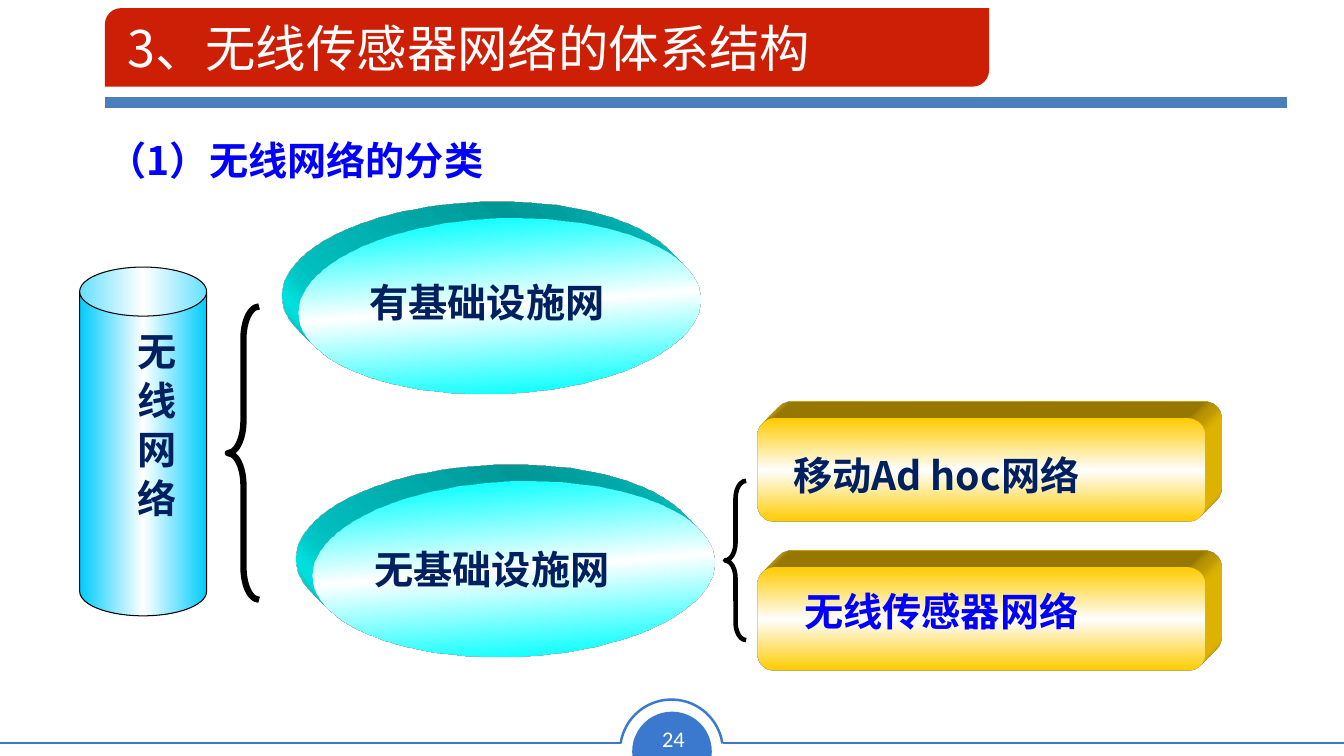
import pptx
import pptx.util
import pptx.dml.color
import pptx.enum.shapes
import pptx.enum.text
import pptx.oxml
import pptx.oxml.ns

Inches, Pt = pptx.util.Inches, pptx.util.Pt
RGB = pptx.dml.color.RGBColor
KIND = pptx.enum.shapes.MSO_SHAPE
ALIGN = pptx.enum.text.PP_ALIGN
ANCHOR = pptx.enum.text.MSO_ANCHOR
qn = pptx.oxml.ns.qn
NS = 'xmlns:a="http://schemas.openxmlformats.org/drawingml/2006/main"'

WHITE, BLACK = RGB(255, 255, 255), RGB(0, 0, 0)
RED, BAR, TRIM = RGB(0xCD, 0x1F, 0x06), RGB(0x4B, 0x7E, 0xBC), RGB(0x3B, 0x79, 0xCE)
NAVY, BLUE = RGB(0, 0x20, 0x60), RGB(0, 0, 255)
SKY, AQUA, GOLD = RGB(0, 0xCC, 255), RGB(0, 255, 255), RGB(255, 0xCC, 0)
SANS = "Noto Sans CJK SC"

# Content
TITLE = "3、无线传感器网络的体系结构"
HEAD = "（1）无线网络的分类"
ROOT = "无 线 网 络"
PAGE = "24"
# ellipse left and top, label box, label
OVALS = [
    (2.96, 2.17, (3.33, 2.71, 3, 0.57), "有基础设施网"),
    (3.1, 4.78, (3.3, 5.36, 3.16, 0.57), "无基础设施网"),
]
# block top, label box, label, colour
BLOCKS = [
    (4.15, (7.77, 4.43, 5.14, 0.57), "移动Ad hoc网络", NAVY),
    (5.63, (7.88, 5.78, 5.14, 0.57), "无线传感器网络", BLUE),
]
# brace box, curve, line width
BRACES = [
    ((2.26, 3.04, 0.31, 2.91), 1.028, 4.5),
    ((7.19, 4.77, 0.21, 1.58), 0.832, 3.25),
]
# rule start, end, height, colour, width
RULES = [
    (7.17, 13.33, 7.37, TRIM, 1.77),
    (0, 6.16, 7.37, TRIM, 1.77),
    (1.04, 12.76, 1.02, BAR, 8),
]

deck = pptx.Presentation()
deck.slide_width, deck.slide_height = Inches(13.33), Inches(7.5)
slide = deck.slides.add_slide(deck.slide_layouts[5])
shapes = slide.shapes


def add(kind, box, adj=(), fill=None, line=None, width=0.75):
    shape = shapes.add_shape(kind, *map(Inches, box))
    shape.shadow.inherit = False
    for i, val in enumerate(adj):
        shape.adjustments[i] = val
    if fill is None:
        shape.fill.background()
    else:
        shape.fill.solid()
        shape.fill.fore_color.rgb = fill
    if line is None:
        shape.line.fill.background()
    else:
        shape.line.color.rgb = line
        shape.line.width = Pt(width)
    return shape


def blend(shape, color, angle):
    """Fade from the colour to white and back."""
    shape.fill.gradient()
    shape.fill.gradient_angle = angle
    stops = shape._element.spPr.find(".//" + qn("a:gsLst"))
    for stop in list(stops):
        stops.remove(stop)
    for pos, tone in ((0, color), (50, WHITE), (100, color)):
        stops.append(pptx.oxml.parse_xml(
            f'<a:gs {NS} pos="{pos * 1000}"><a:srgbClr val="{tone}"/></a:gs>'))


def extrude(shape, side, color):
    """Give the shape depth towards the top left or top right."""
    props = shape._element.spPr
    props.append(pptx.oxml.parse_xml(
        f'<a:scene3d {NS}><a:camera prst="legacyObliqueTop{side}"/>'
        '<a:lightRig rig="legacyFlat3" dir="b"/></a:scene3d>'))
    props.append(pptx.oxml.parse_xml(
        f'<a:sp3d {NS} extrusionH="430200" prstMaterial="legacyMatte">'
        '<a:bevelT w="13500" h="13500" prst="angle"/>'
        '<a:bevelB w="13500" h="13500" prst="angle"/>'
        f'<a:extrusionClr><a:srgbClr val="{color}"/></a:extrusionClr></a:sp3d>'))


def write(frame, text, color, size=28, bold=True, align=ALIGN.LEFT, face=SANS):
    frame.word_wrap = True
    frame.auto_size = pptx.enum.text.MSO_AUTO_SIZE.NONE
    para = frame.paragraphs[0]
    para.text, para.alignment = text, align
    font = para.font
    font.size, font.bold, font.name = Pt(size), bold, face
    font.color.rgb = color
    para._p.pPr.find(qn("a:defRPr")).append(
        pptx.oxml.parse_xml(f'<a:ea {NS} typeface="{face}"/>'))
    return para


def label(box, text, color, **style):
    frame = shapes.add_textbox(*map(Inches, box)).text_frame
    write(frame, text, color, **style)
    return frame


# Page badge and rules
badge = add(KIND.CHORD, (6.27, 7.06, 0.79, 0.79), (35.772, 153.29), TRIM)
badge.rotation = 112.4
for start, end, y, color, width in RULES:
    rule = shapes.add_connector(
        pptx.enum.shapes.MSO_CONNECTOR.STRAIGHT,
        Inches(start), Inches(y), Inches(end), Inches(y))
    rule.line.color.rgb, rule.line.width = color, Pt(width)
    rule._element.spPr.append(pptx.oxml.parse_xml(f"<a:effectLst {NS}/>"))
add(KIND.ARC, (6.15, 6.94, 1.02, 1.02), (113.17, 210.975), line=TRIM, width=1.77)
page = label((6.45, 7.14, 0.46, 0.37), PAGE, WHITE, size=16, bold=False,
             align=ALIGN.CENTER, face="Calibri")
page.word_wrap = False

# Title on its banner
banner = add(KIND.ROUND_2_DIAG_RECTANGLE, (1.04, 0.08, 8.77, 0.78), (0.209, 0), RED)
title = shapes.title
banner._element.addnext(title._element)
title.left, title.top, title.width, title.height = map(Inches, (1.16, 0.1, 11.57, 0.74))
write(title.text_frame, TITLE, WHITE, size=36, bold=False)
title.text_frame.vertical_anchor = ANCHOR.MIDDLE

# Root cylinder
can = add(KIND.CAN, (0.79, 2.65, 1.26, 3.46), (0.386,), line=BLACK)
blend(can, SKY, 0)
root = label((1.16, 3.2, 0.67, 2.68), ROOT, NAVY)
root._txBody.bodyPr.set("vert", "eaVert")

# Two kinds of network
for x, y, box, text in OVALS:
    oval = add(KIND.OVAL, (x, y, 3.99, 1.73))
    oval.rotation = 357.7
    blend(oval, AQUA, 90)
    extrude(oval, "Left", AQUA)
    label(box, text, NAVY, align=ALIGN.CENTER)

# Networks without infrastructure
for y, box, text, color in BLOCKS:
    block = add(KIND.ROUNDED_RECTANGLE, (7.51, y, 4.44, 1.02), (0.167,))
    blend(block, GOLD, 90)
    extrude(block, "Right", GOLD)
    label(box, text, color)

# Braces
for box, curve, width in BRACES:
    add(KIND.LEFT_BRACE, box, (curve, 0.5), line=BLACK, width=width)

# Section heading
head = label((0.97, 1.23, 7.48, 0.62), HEAD, BLUE)
head.vertical_anchor = ANCHOR.MIDDLE
head.paragraphs[0].line_spacing = 1.2

deck.save("out.pptx")
